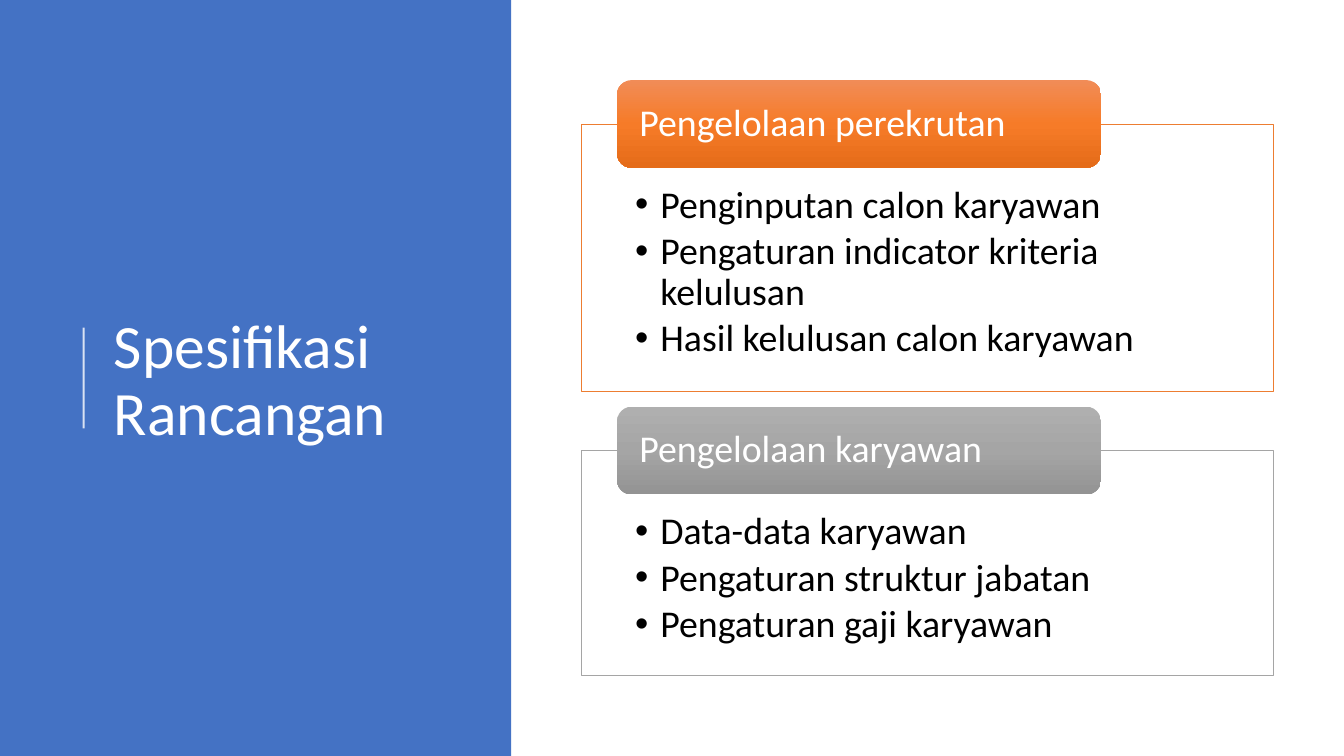
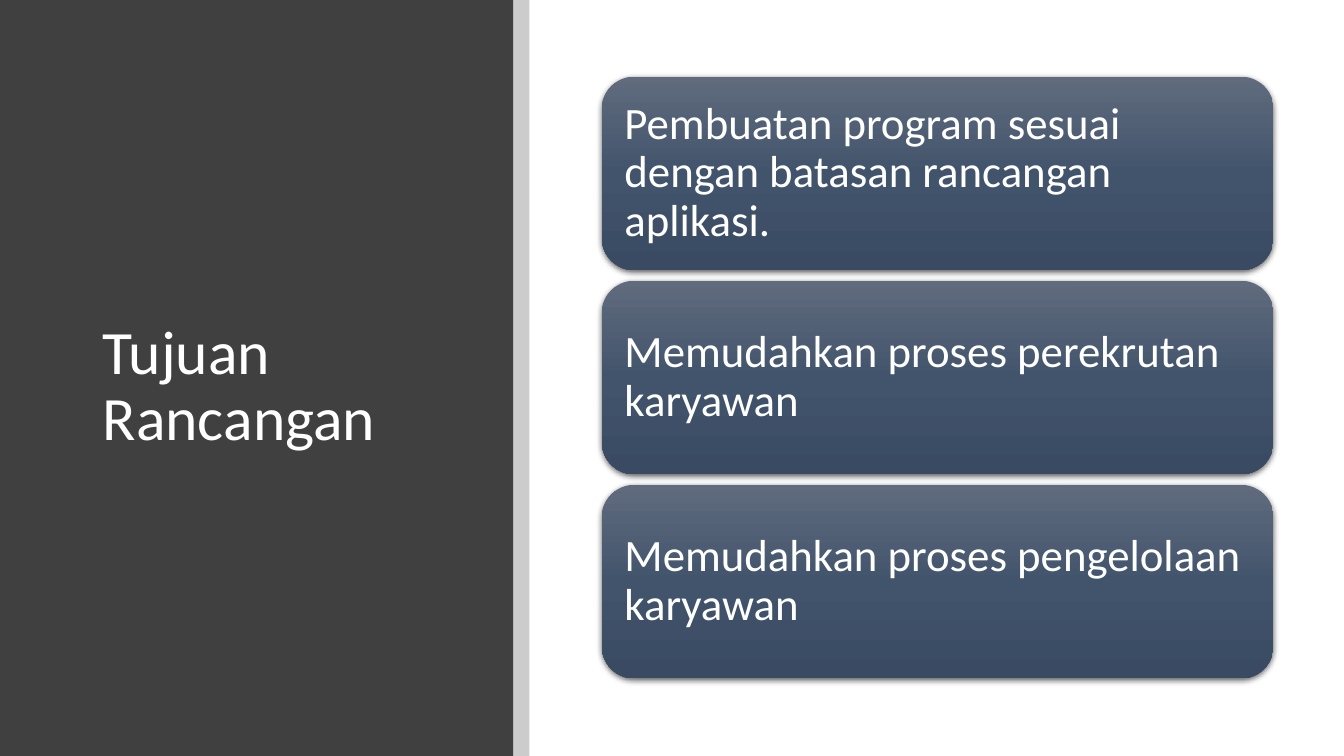
"""Build two slides: design specification and design goals."""
from copy import deepcopy
from pptx import Presentation, util as u
from pptx.dml.color import RGBColor
from pptx.enum import shapes, text
from pptx.oxml import parse_xml
from pptx.oxml.ns import nsdecls, qn

FONT = "Calibri"
WHITE, BLACK = "FFFFFF", "000000"
RECT, ROUND = shapes.MSO_SHAPE.RECTANGLE, shapes.MSO_SHAPE.ROUNDED_RECTANGLE
TOP, MID = text.MSO_ANCHOR.TOP, text.MSO_ANCHOR.MIDDLE
hue = RGBColor.from_string
ALPHA = '<a:alpha %s val="%d"/>'


def box(slide, kind, place, tones, alpha=100):
    """Add a shape with one solid tone or three gradient tones."""
    shape = slide.shapes.add_shape(kind, *map(u.Inches, place))
    shape.shadow.inherit = False
    shape.line.fill.background()
    fill, props = shape.fill, shape._element.spPr
    if len(tones) == 1:
        fill.solid()
        fill.fore_color.rgb = hue(tones[0])
        if alpha < 100:
            tint = props.find(qn("a:solidFill"))[0]
            tint.append(parse_xml(ALPHA % (nsdecls("a"), alpha * 1000)))
    else:
        fill.gradient()
        fill.gradient_angle = 270
        stops = props.find(".//" + qn("a:gsLst"))
        stops.append(deepcopy(stops[0]))
        for i, stop in enumerate(fill.gradient_stops):
            stop.position = i / 2
            stop.color.rgb = hue(tones[i])
    return shape


def write(shape, lines, size, tone, pads, anchor=MID, after=0, bullet=False):
    """Fill a shape with left-aligned paragraphs."""
    frame = shape.text_frame
    frame.word_wrap = True
    frame.vertical_anchor = anchor
    (frame.margin_left, frame.margin_top,
     frame.margin_right, frame.margin_bottom) = map(u.Inches, pads)
    frame.text = "\n".join(lines)
    for para in frame.paragraphs:
        para.alignment = text.PP_ALIGN.LEFT
        para.line_spacing = 0.9
        para.space_after = u.Pt(after)
        font = para.runs[0].font
        font.name, font.size = FONT, u.Pt(size)
        font.color.rgb = hue(tone)
        if bullet:
            props = para._p.get_or_add_pPr()
            props.set("marL", str(u.Inches(0.25)))
            props.set("indent", str(u.Inches(-0.25)))
            props.append(parse_xml('<a:buFont %s typeface="Arial"/>' % nsdecls("a")))
            props.append(parse_xml('<a:buChar %s char="\u2022"/>' % nsdecls("a")))


deck = Presentation()
deck.slide_width, deck.slide_height = u.Inches(13.33), u.Inches(7.5)

panels = [
    ("Spesifikasi Rancangan", (1.03, 0.78, 3.69, 6.02), 5.07, "4472C4"),
    ("Tujuan Rancangan", (0.92, 0.89, 3.65, 5.91), 5.09, "404040"),
]
slides = []
for title, place, width, tone in panels:
    slide = deck.slides.add_slide(deck.slide_layouts[6])
    box(slide, RECT, (0, 0, width, 7.5), [tone])
    head = slide.shapes.add_textbox(*map(u.Inches, place))
    write(head, [title], 44, WHITE, (0.1, 0.05, 0.1, 0.05))
    slides.append(slide)
spec_page, goal_page = slides

rule = spec_page.shapes.add_connector(
    shapes.MSO_CONNECTOR.STRAIGHT, *map(u.Inches, (0.83, 4.25, 0.83, 3.25)))
rule.line.width = u.Pt(1.5)
rule.line.color.rgb = hue(WHITE)
props = rule._element.spPr
props.find(".//" + qn("a:srgbClr")).append(parse_xml(ALPHA % (nsdecls("a"), 80000)))
props.append(parse_xml("<a:effectLst %s/>" % nsdecls("a")))

groups = [
    ("Pengelolaan perekrutan", 1.23, 2.65, "ED7D31", ["F18C57", "F67B28", "E56C19"],
     ["Penginputan calon karyawan", "Pengaturan indicator kriteria kelulusan",
      "Hasil kelulusan calon karyawan"]),
    ("Pengelolaan karyawan", 4.47, 2.23, "A5A5A5", ["AFAFAF", "A5A5A5", "939393"],
     ["Data-data karyawan", "Pengaturan struktur jabatan",
      "Pengaturan gaji karyawan"]),
]
for label, top, height, edge, tones, items in groups:
    frame = box(spec_page, RECT, (5.77, top, 6.86, height), [WHITE], 90)
    frame.line.color.rgb = hue(edge)
    frame.line.width = u.Pt(0.5)
    write(frame, items, 27, BLACK, (0.53, 0.61, 0.53, 0.21), TOP, 4, True)
    tab = box(spec_page, ROUND, (6.12, top - 0.435, 4.8, 0.87), tones)
    write(tab, [label], 27, WHITE, (0.18, 0, 0.18, 0))

box(goal_page, RECT, (5.09, 0, 0.16, 7.5), [BLACK], 20)
goals = [
    "Pembuatan program sesuai dengan batasan rancangan aplikasi.",
    "Memudahkan proses perekrutan karyawan",
    "Memudahkan proses pengelolaan karyawan",
]
for i, goal in enumerate(goals):
    card = box(goal_page, ROUND, (5.97, 0.76 + i * 2.025, 6.66, 1.92),
               ["606B7D", "42546C", "394A62"])
    card._element.spPr.find(qn("a:effectLst")).append(parse_xml(
        '<a:outerShdw %s blurRad="%d" dist="%d" dir="5400000" algn="ctr" rotWithShape="0">'
        '<a:srgbClr val="%s"><a:alpha val="63000"/></a:srgbClr></a:outerShdw>'
        % (nsdecls("a"), u.Pt(4.5), u.Pt(1.5), BLACK)))
    write(card, [goal], 32, WHITE, (0.13,) * 4)

deck.save("out.pptx")
